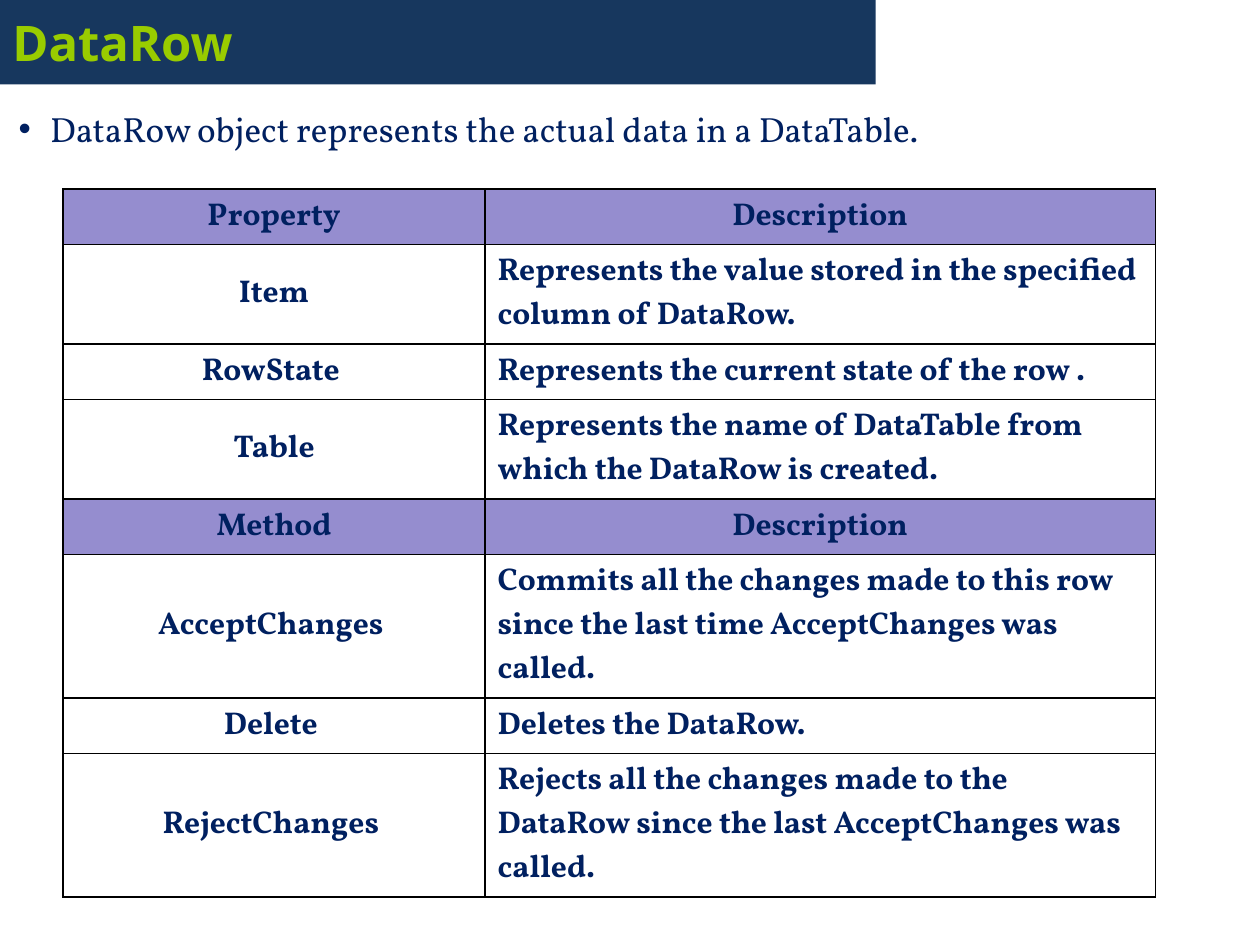
from lxml import etree
from pptx import Presentation
from pptx.dml.color import RGBColor
from pptx.enum.shapes import MSO_SHAPE
from pptx.enum.text import MSO_ANCHOR, PP_ALIGN
from pptx.oxml.ns import qn
from pptx.util import Inches, Pt

LEFT, CENTER = PP_ALIGN.LEFT, PP_ALIGN.CENTER
MIDDLE = MSO_ANCHOR.MIDDLE
RECT = MSO_SHAPE.RECTANGLE
COLORS = {"bar": "17375E", "title": "99CC00", "text": "002060",
          "head": "958DCF", "body": "FFFFFF", "line": "000000"}


def write(frame, text, size, color, font="Vollkorn", bold=False, align=LEFT):
    """Fill a text frame with one formatted paragraph and return it."""
    frame.word_wrap = True
    par = frame.paragraphs[0]
    par.text = text
    par.alignment = align
    face = par.runs[0].font
    face.name, face.size, face.bold = font, Pt(size), bold
    face.color.rgb = RGBColor.from_string(COLORS[color])
    return par


def add_borders(cell):
    props = cell._tc.get_or_add_tcPr()
    for spot, side in enumerate(("a:lnL", "a:lnR", "a:lnT", "a:lnB")):
        line = etree.Element(qn(side), w=str(Pt(1)))
        fill = etree.SubElement(line, qn("a:solidFill"))
        etree.SubElement(fill, qn("a:srgbClr"), val=COLORS["line"])
        props.insert(spot, line)


prs = Presentation()
prs.slide_width, prs.slide_height = Inches(10), Inches(7.5)
slide = prs.slides.add_slide(prs.slide_layouts[6])

# Title bar
bar = slide.shapes.add_shape(RECT, 0, 0, Inches(6.95), Inches(0.67))
bar.shadow.inherit = False
bar.fill.solid()
bar.fill.fore_color.rgb = RGBColor.from_string(COLORS["bar"])
bar.line.fill.background()
bar.text_frame.vertical_anchor = MIDDLE
write(bar.text_frame, "DataRow", 28, "title", "Open Sans", True)

# Bullet line
box = slide.shapes.add_textbox(Inches(0.05), Inches(0.67), Inches(9.95), Inches(0.58))
intro = write(box.text_frame, "DataRow object represents the actual data in a DataTable.",
              20, "text")
intro.line_spacing = 1.4
intro.space_before = Pt(4)
props = intro._p.get_or_add_pPr()
props.set("marL", str(Inches(0.25)))
props.set("indent", str(Inches(-0.25)))
etree.SubElement(props, qn("a:buFont"), typeface="Arial")
etree.SubElement(props, qn("a:buChar"), char="•")

# Table of members: name, description, lines of text
rows = [
    ("Property", "Description", 1),
    ("Item", "Represents the value stored in the specified column of DataRow.", 2),
    ("RowState ", "Represents the current state of the row .", 1),
    ("Table", "Represents the name of DataTable from which the DataRow is created.", 2),
    ("Method", "Description", 1),
    ("AcceptChanges ", "Commits all the changes made to this row since the last time "
     "AcceptChanges was called.", 3),
    ("Delete ", "Deletes the DataRow.", 1),
    ("RejectChanges ", "Rejects all the changes made to the DataRow since the last "
     "AcceptChanges was called.", 3),
]
heights = [Inches(0.09 + 0.35 * count) for *_, count in rows]
table = slide.shapes.add_table(len(rows), 2, Inches(0.5), Inches(1.5),
                               Inches(8.67), sum(heights)).table
table.columns[0].width = Inches(3.35)
table.columns[1].width = Inches(5.32)
for r, (name, about, _) in enumerate(rows):
    table.rows[r].height = heights[r]
    head = about == "Description"
    for c, text in enumerate((name, about)):
        cell = table.cell(r, c)
        cell.vertical_anchor = MIDDLE
        cell.fill.solid()
        cell.fill.fore_color.rgb = RGBColor.from_string(COLORS["head" if head else "body"])
        add_borders(cell)
        write(cell.text_frame, text, 18, "text", bold=True,
              align=CENTER if head or c == 0 else LEFT)

prs.save("out.pptx")
